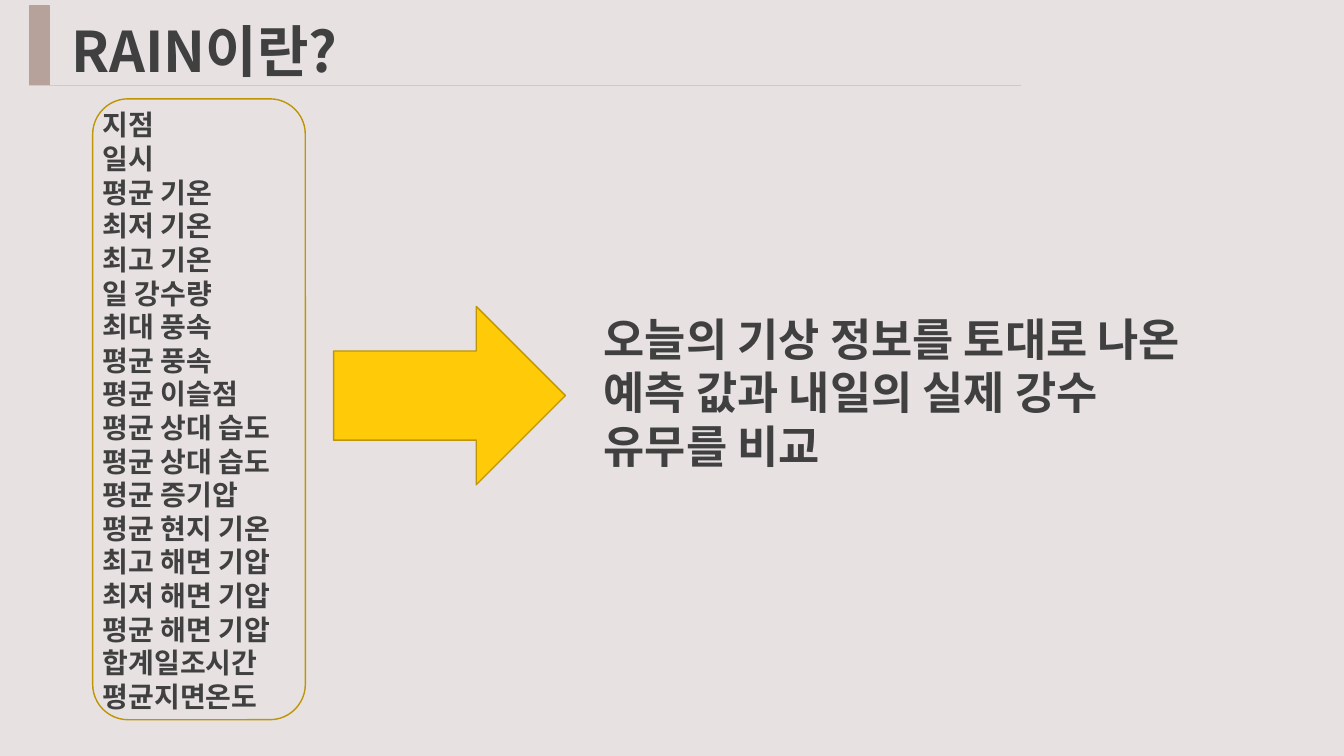
from dataclasses import dataclass

from lxml import etree
from pptx import Presentation
from pptx.dml.color import RGBColor
from pptx.enum.shapes import MSO_CONNECTOR, MSO_SHAPE
from pptx.enum.text import MSO_ANCHOR, MSO_AUTO_SIZE, PP_ALIGN
from pptx.oxml.ns import qn
from pptx.util import Pt

LINE = MSO_CONNECTOR.STRAIGHT
RECT = MSO_SHAPE.RECTANGLE
ROUND = MSO_SHAPE.ROUNDED_RECTANGLE
ARROW = MSO_SHAPE.RIGHT_ARROW
MIDDLE = MSO_ANCHOR.MIDDLE
TOP = MSO_ANCHOR.TOP
GROW = MSO_AUTO_SIZE.SHAPE_TO_FIT_TEXT
FIXED = MSO_AUTO_SIZE.NONE
LEFT = PP_ALIGN.LEFT


@dataclass(frozen=True)
class Theme:
    font: str = "Noto Sans CJK KR"
    back: str = "E7E2E1"
    ink: str = "404040"
    bar: str = "B6A29A"
    rule: str = "D3CAC4"
    gold: str = "FFCA08"
    edge: str = "BD9506"
    title: int = 40
    claim: int = 32
    item: int = 20


THEME = Theme()
ITEMS = [
    "지점", "일시", "평균 기온", "최저 기온", "최고 기온", "일 강수량",
    "최대 풍속", "평균 풍속", "평균 이슬점", "평균 상대 습도",
    "평균 상대 습도", "평균 증기압", "평균 현지 기온", "최고 해면 기압",
    "최저 해면 기압", "평균 해면 기압", "합계일조시간", "평균지면온도",
]


def color(code):
    return RGBColor.from_string(code)


def place(shape, box):
    shape.left, shape.top, shape.width, shape.height = map(Pt, box)


def write(shape, lines, size, pitch, anchor=TOP, wrap=True, fit=GROW):
    frame = shape.text_frame
    frame.word_wrap = wrap
    frame.auto_size = fit
    frame.vertical_anchor = anchor
    for i, line in enumerate(lines):
        para = frame.add_paragraph() if i else frame.paragraphs[0]
        props = para._p.get_or_add_pPr()
        props.set("marL", "0")
        props.set("indent", "0")
        etree.SubElement(props, qn("a:buNone"))
        para.alignment = LEFT
        para.space_before = para.space_after = Pt(0)
        para.line_spacing = Pt(pitch)
        run = para.add_run()
        run.text = line
        font = run.font
        font.name = THEME.font
        font.size = Pt(size)
        font.bold = True
        font.color.rgb = color(THEME.ink)
        east = etree.SubElement(run._r.get_or_add_rPr(), qn("a:ea"))
        east.set("typeface", THEME.font)


def draw(slide, kind, box, edge, fill=None):
    shape = slide.shapes.add_shape(kind, *map(Pt, box))
    shape.shadow.inherit = False
    if fill:
        shape.fill.solid()
        shape.fill.fore_color.rgb = color(fill)
    else:
        shape.fill.background()
    shape.line.color.rgb = color(edge)
    shape.line.width = Pt(1)
    return shape


def add_head(slide, box, text):
    x, y, w, h = box
    bar = 14.4
    draw(slide, RECT, (x, y, bar, h), THEME.bar, THEME.bar)
    ends = map(Pt, (x, y + h, x + w, y + h))
    rule = slide.shapes.add_connector(LINE, *ends)
    rule.line.color.rgb = color(THEME.rule)
    rule.line.width = Pt(0.5)
    etree.SubElement(rule._element.spPr, qn("a:effectLst"))
    title = slide.shapes.title
    place(title, (x + bar, y, w - bar, h))
    title.text_frame.margin_left = Pt(16)
    write(title, [text], THEME.title, 54, MIDDLE, fit=FIXED)


def add_list(slide, box, items):
    x, y, w, h = box
    draw(slide, ROUND, box, THEME.edge)
    body = slide.placeholders[1]
    place(body, (x, y + 2.9, w - 6.5, h))
    write(body, items, THEME.item, 24, wrap=False)


def add_claim(slide, box, text):
    x, y, w, h = box
    draw(slide, ARROW, (x, y, 165.6, h), THEME.edge, THEME.gold)
    left = 185.8
    note = slide.shapes.add_textbox(*map(Pt, (x + left, y, w - left, 123.8)))
    write(note, [text], THEME.claim, 38.4)


def main():
    deck = Presentation()
    deck.slide_width, deck.slide_height = Pt(960), Pt(540)
    slide = deck.slides.add_slide(deck.slide_layouts[1])
    slide.background.fill.solid()
    slide.background.fill.fore_color.rgb = color(THEME.back)
    add_head(slide, (20.9, 4.3, 708.5, 56.9), "RAIN이란?")
    add_list(slide, (66.2, 70.6, 151.9, 443.5), ITEMS)
    add_claim(slide, (238.3, 218.9, 645.9, 127.4),
              "오늘의 기상 정보를 토대로 나온 예측 값과 내일의 실제 강수 유무를 비교")
    deck.save("out.pptx")


if __name__ == "__main__":
    main()
